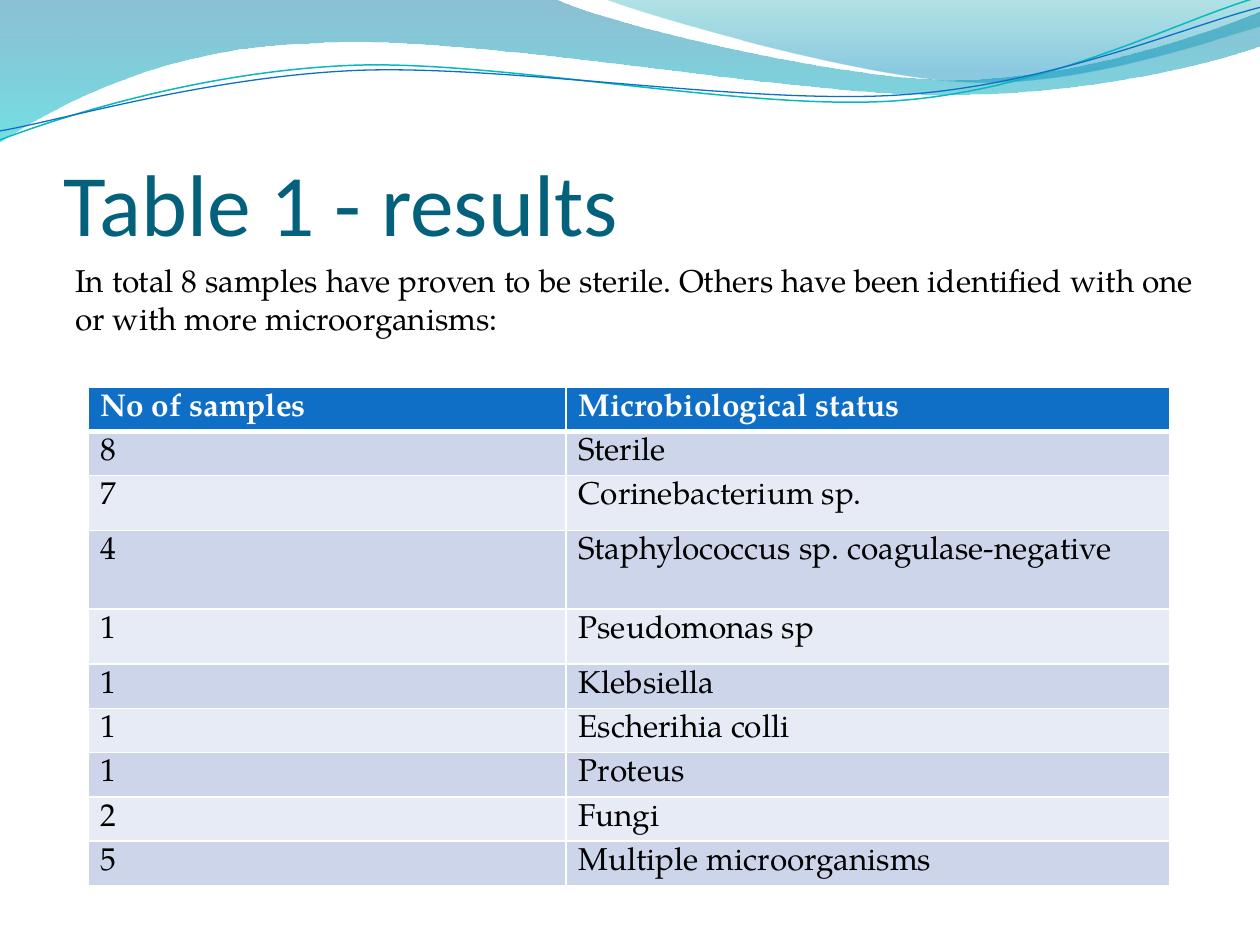
from lxml.etree import SubElement
from pptx import Presentation
from pptx.dml.color import RGBColor
from pptx.enum.text import MSO_ANCHOR, MSO_AUTO_SIZE
from pptx.oxml import parse_xml
from pptx.oxml.ns import nsdecls, qn
from pptx.util import Cm, Pt

COLORS = {
    "title": "04617B", "text": "000000", "white": "FFFFFF",
    "header": "0F6FC6", "odd_row": "CCD5EA", "even_row": "E7EBF5",
}
TITLE_FONT, BODY_FONT = "Calibri", "TeX Gyre Pagella"

TITLE = "Table 1 - results"
INTRO = ("In total 8 samples have proven to be sterile. Others have been "
         "identified with one or with more microorganisms:")
RESULTS = [
    ("No of samples", "Microbiological status"),
    ("8", "Sterile"),
    ("7", "Corinebacterium sp."),
    ("4", "Staphylococcus sp. coagulase-negative"),
    ("1", "Pseudomonas sp"),
    ("1", "Klebsiella"),
    ("1", "Escherihia colli"),
    ("1", "Proteus"),
    ("2", "Fungi"),
    ("5", "Multiple microorganisms"),
]
COLUMN_WIDTHS = (9.63, 12.17)
USUAL_ROW = 0.89
ROW_HEIGHTS = {0: 0.85, 2: 1.11, 3: 1.58, 4: 1.11}

# Outlines in cm: a start point, then lines (1 point) and Bezier curves (3 points).
# Gradient stops: position, colour, opacity in percent.
WAVES = [
    {"start": (0, 0),
     "parts": [
         [(11.18, -0.03)],
         [(12.09, 0.43), (16.87, 1.6), (19.25, 1.6)],
         [(21.67, 1.6), (24.33, 0.66), (25.4, 0.23)],
         [(25.43, 0.91)],
         [(24.97, 1.12), (22.1, 1.93), (18.95, 1.91)],
         [(15.8, 1.91), (9.7, 0.71), (6.53, 0.86)],
         [(3.28, 0.91), (1.17, 2.11), (-0.03, 2.87)],
         [(0, 0)]],
     "stops": [(0, "0074A1", 45), (1, "00C6CF", 55)]},
    {"start": (12.17, -0.03),
     "parts": [
         [(12.93, 0.28), (17.32, 1.57), (19.53, 1.65)],
         [(21.74, 1.75), (24.41, 0.81), (25.4, 0.53)],
         [(25.4, 0)],
         [(12.17, -0.03)]],
     "stops": [(0, "00A1A9", 30), (0.8, "008BBF", 45)]},
    {"start": (0, 2.82),
     "parts": [
         [(1.22, 2.36), (4.01, 1.45), (7.04, 1.32)],
         [(10.03, 1.19), (15.06, 2.26), (18.11, 2.03)],
         [(21.16, 1.8), (23.83, 0.38), (25.35, -0.05)]],
     "line": ("0AB8BF", 0.85)},
    {"start": (0, 2.64),
     "parts": [
         [(1.19, 2.44), (4.17, 1.55), (7.19, 1.42)],
         [(10.24, 1.3), (15.16, 2.13), (18.21, 1.91)],
         [(21.23, 1.7), (23.9, 0.53), (25.4, 0.15)]],
     "line": ("0F6FC6", 0.75)},
]


def rgb(name):
    return RGBColor.from_string(COLORS[name])


def bend(outline, parts):
    """Turn each three straight segments that stand for a curve into that curve."""
    segments = iter(list(outline._element.iter(qn("a:lnTo"))))
    for part in parts:
        first, *others = [next(segments) for _ in part]
        if others:
            first.tag = qn("a:cubicBezTo")
            for segment in others:
                first.append(segment[0])
                segment.getparent().remove(segment)


def add_wave(shapes, wave):
    filled = "stops" in wave
    builder = shapes.build_freeform(*map(Cm, wave["start"]))
    builder.add_line_segments(
        [(Cm(x), Cm(y)) for part in wave["parts"] for x, y in part], close=filled)
    outline = builder.convert_to_shape()
    bend(outline, wave["parts"])
    outline.shadow.inherit = False
    if not filled:
        color, width = wave["line"]
        outline.fill.background()
        outline.line.color.rgb = RGBColor.from_string(color)
        outline.line.width = Pt(width)
        return
    outline.line.fill.background()
    outline.fill.gradient()
    outline.fill.gradient_angle = 270
    for stop, (position, color, _) in zip(outline.fill.gradient_stops, wave["stops"]):
        stop.position = position
        stop.color.rgb = RGBColor.from_string(color)
    srgb_colors = list(outline._element.spPr.iter(qn("a:srgbClr")))
    for srgb, (_, _, opacity) in zip(srgb_colors, wave["stops"]):
        SubElement(srgb, qn("a:alpha"), val=str(opacity * 1000))


def style(paragraph, font, size, color, bold=False):
    run_font = paragraph.runs[0].font
    run_font.name, run_font.size, run_font.bold = font, Pt(size), bold
    run_font.color.rgb = rgb(color)


def add_text(shapes, text, place, font, size, color):
    frame = shapes.add_textbox(*map(Cm, place)).text_frame
    frame.word_wrap = True
    frame.text = text
    style(frame.paragraphs[0], font, size, color)
    return frame


def set_borders(cell, bottom):
    properties = cell._tc.get_or_add_tcPr()
    for index, (side, width) in enumerate(
            (("L", 1), ("R", 1), ("T", 1), ("B", bottom))):
        properties.insert(index, parse_xml(
            f'<a:ln{side} {nsdecls("a")} w="{Pt(width)}"><a:solidFill>'
            f'<a:srgbClr val="{COLORS["white"]}"/></a:solidFill></a:ln{side}>'))


def add_results(shapes):
    heights = [ROW_HEIGHTS.get(row, USUAL_ROW) for row in range(len(RESULTS))]
    table = shapes.add_table(
        len(RESULTS), len(COLUMN_WIDTHS), Cm(1.78), Cm(7.8),
        Cm(sum(COLUMN_WIDTHS)), Cm(sum(heights))).table
    for column, width in zip(table.columns, COLUMN_WIDTHS):
        column.width = Cm(width)
    for index, (values, height) in enumerate(zip(RESULTS, heights)):
        table.rows[index].height = Cm(height)
        header = index == 0
        band = "header" if header else "odd_row" if index % 2 else "even_row"
        for cell, value in zip(table.rows[index].cells, values):
            cell.margin_top, cell.margin_bottom = Cm(0.13), 0
            cell.fill.solid()
            cell.fill.fore_color.rgb = rgb(band)
            set_borders(cell, bottom=3 if header else 1)
            cell.text_frame.text = value
            style(cell.text_frame.paragraphs[0], BODY_FONT, 18,
                  "white" if header else "text", header)


def main():
    deck = Presentation()
    deck.slide_width, deck.slide_height = Cm(25.4), Cm(19.05)
    shapes = deck.slides.add_slide(deck.slide_layouts[6]).shapes
    for wave in WAVES:
        add_wave(shapes, wave)

    title = add_text(shapes, TITLE, (1.28, 1.95, 22.86, 3.18), TITLE_FONT, 50, "title")
    title.vertical_anchor = MSO_ANCHOR.BOTTOM
    title.margin_left = title.margin_right = title.margin_bottom = 0

    add_results(shapes)
    intro = add_text(shapes, INTRO, (1.27, 5.14, 23.47, 1.8), BODY_FONT, 18, "text")
    intro.auto_size = MSO_AUTO_SIZE.SHAPE_TO_FIT_TEXT
    deck.save("out.pptx")


if __name__ == "__main__":
    main()
